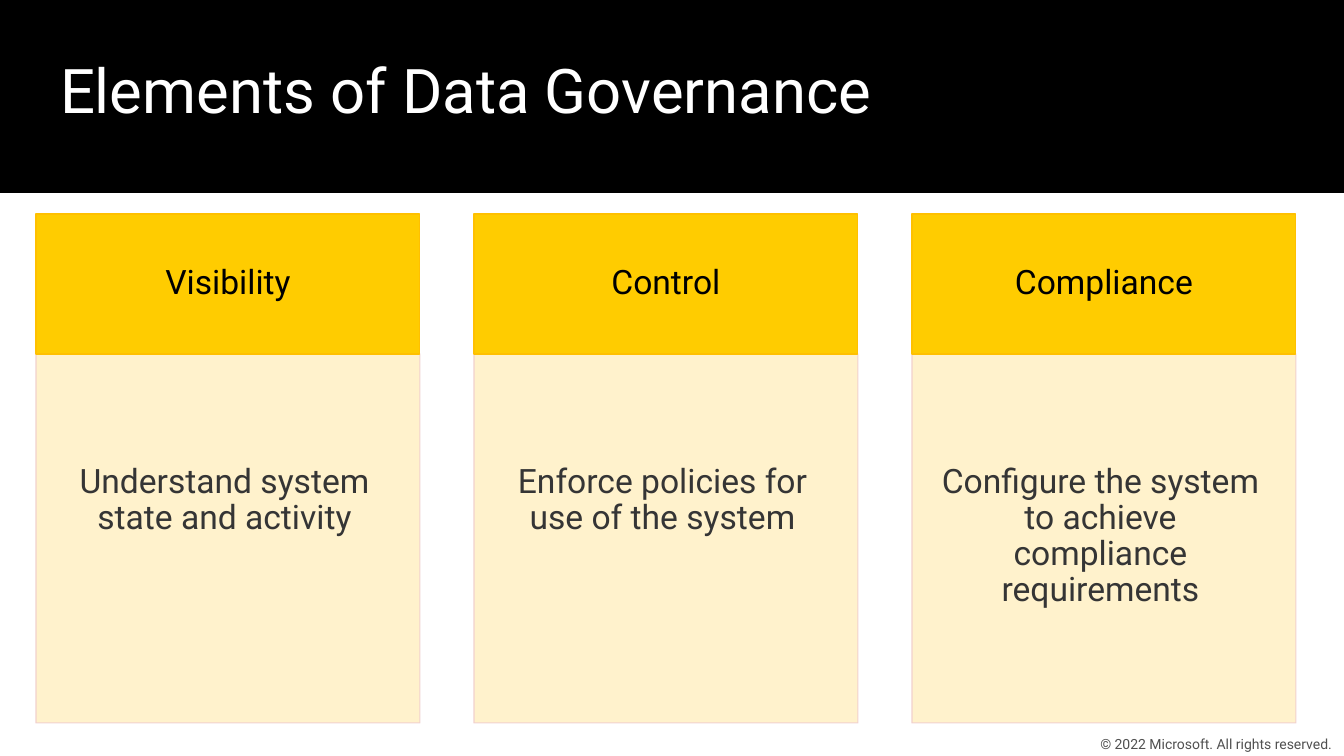
from lxml import etree
from pptx import Presentation
from pptx.dml.color import RGBColor
from pptx.enum.shapes import MSO_SHAPE
from pptx.enum.text import MSO_ANCHOR, PP_ALIGN
from pptx.oxml.ns import qn
from pptx.util import Emu, Pt

RECT = MSO_SHAPE.RECTANGLE
TOP, MIDDLE = MSO_ANCHOR.TOP, MSO_ANCHOR.MIDDLE
LEFT, CENTER = PP_ALIGN.LEFT, PP_ALIGN.CENTER

COLORS = {
    "black": "000000",
    "white": "FFFFFF",
    "gold": "FFCC00",
    "amber": "FFC000",
    "cream": "FFF2CC",
    "rose": "F0CECC",
    "ink": "353535",
    "gray": "505050",
}
CARDS = [
    ("Visibility", "Understand system state and activity"),
    ("Control", "Enforce policies for use of the system"),
    ("Compliance", "Configure the system to achieve compliance requirements"),
]


class Deck:
    """Draw styled elements on the current slide, measured in px."""

    font = "Roboto"
    scale = 914400 / 100.8

    def __init__(self, width, height):
        self.prs = Presentation()
        self.prs.slide_width = self.px(width)
        self.prs.slide_height = self.px(height)
        self.slide = self.prs.slides.add_slide(self.prs.slide_layouts[6])

    def px(self, value):
        return Emu(round(value * self.scale))

    def color(self, name):
        return RGBColor.from_string(COLORS[name])

    def set_text(self, shape, text, size, color, align=CENTER, anchor=MIDDLE,
                 pad=(0, 0, 0, 0), space=1.0):
        frame = shape.text_frame
        frame.word_wrap = True
        frame.vertical_anchor = anchor
        (frame.margin_left, frame.margin_top,
         frame.margin_right, frame.margin_bottom) = map(self.px, pad)
        frame.text = text
        para = frame.paragraphs[0]
        para.alignment = align
        para.line_spacing = space
        font = para.runs[0].font
        font.name = self.font
        font.size = Pt(size)
        font.color.rgb = self.color(color)

    def label(self, box, text, size, color, **style):
        shape = self.slide.shapes.add_textbox(*map(self.px, box))
        self.set_text(shape, text, size, color, **style)

    def panel(self, box, fill, line=None, alpha=None):
        shape = self.slide.shapes.add_shape(RECT, *map(self.px, box))
        shape.shadow.inherit = False
        shape.fill.solid()
        shape.fill.fore_color.rgb = self.color(fill)
        if line is None:
            shape.line.fill.background()
            return shape
        shape.line.color.rgb = self.color(line)
        shape.line.width = Pt(0.85)
        if alpha:
            tint = shape.element.spPr.find(
                qn("a:ln") + "/" + qn("a:solidFill") + "/" + qn("a:srgbClr"))
            etree.SubElement(tint, qn("a:alpha")).set("val", str(alpha * 1000))
        return shape

    def card(self, left, head, body):
        base = self.panel((left, 354, 384, 369), "cream", "rose", alpha=90)
        self.set_text(base, body, 24, "ink", anchor=TOP,
                      pad=(22, 110, 29, 32), space=0.9)
        top = self.panel((left, 214, 384, 140), "gold", "amber")
        self.set_text(top, head, 24, "black", pad=(34, 20, 34, 20), space=0.9)


def main():
    deck = Deck(1344, 756)
    deck.panel((0, 0, 1344, 193), "black")
    deck.label((50, 42, 1239, 77), "Elements of Data Governance", 44, "white",
               align=LEFT, anchor=TOP, pad=(10, 10, 10, 0))
    for index, (head, body) in enumerate(CARDS):
        deck.card(36 + 438 * index, head, body)
    deck.label((1088, 732, 256, 24),
               "© 2022 Microsoft. All rights reserved.", 10, "gray")
    deck.prs.save("out.pptx")


if __name__ == "__main__":
    main()
